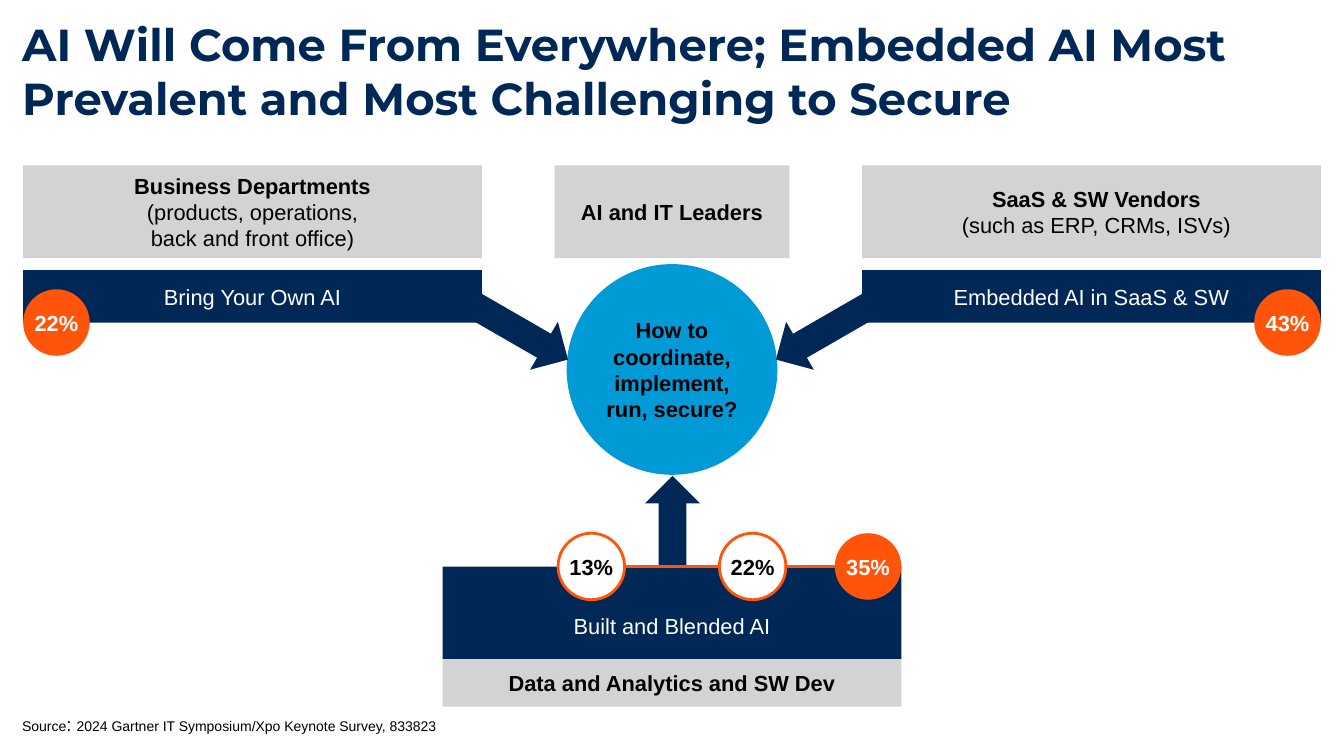
from dataclasses import dataclass

from lxml import etree
from pptx import Presentation
from pptx.dml.color import RGBColor
from pptx.enum.shapes import MSO_CONNECTOR, MSO_SHAPE
from pptx.enum.text import MSO_ANCHOR, PP_ALIGN
from pptx.oxml.ns import qn
from pptx.util import Inches, Pt

RECT, OVAL = MSO_SHAPE.RECTANGLE, MSO_SHAPE.OVAL
RIGHT_ARROW, LEFT_ARROW, UP_ARROW = MSO_SHAPE.RIGHT_ARROW, MSO_SHAPE.LEFT_ARROW, MSO_SHAPE.UP_ARROW
STRAIGHT = MSO_CONNECTOR.STRAIGHT
TOP, MIDDLE, BOTTOM = MSO_ANCHOR.TOP, MSO_ANCHOR.MIDDLE, MSO_ANCHOR.BOTTOM
LEFT, CENTER = PP_ALIGN.LEFT, PP_ALIGN.CENTER


@dataclass(frozen=True)
class Theme:
    """Colours, fonts and type sizes of the slide."""
    navy: str = "002856"
    grey: str = "D3D3D3"
    blue: str = "009AD7"
    orange: str = "FF540A"
    white: str = "FFFFFF"
    black: str = "000000"
    heading: str = "Montserrat"
    body: str = "Arial"
    title_size: float = 32
    label_size: float = 15.6
    source_size: float = 10
    colon_size: float = 13.3


THEME = Theme()
WIDTH, HEIGHT = 13.33, 7.5
MARGIN = 0.23
COLUMN = 4.55
BADGE = 0.66
HEADER_TOP, HEADER_HEIGHT = 1.64, 0.92
BAR_TOP, BAR_HEIGHT = 2.68, 0.52
CENTRE_X = WIDTH / 2


def write(holder, paragraphs, *, size=THEME.label_size, font=THEME.body, color=THEME.black,
          bold=False, align=CENTER, anchor=MIDDLE, insets=(0, 0, 0, 0)):
    """Fill a shape with paragraphs, each a list of (text, font overrides) runs."""
    frame = holder.text_frame
    frame.word_wrap = True
    frame.vertical_anchor = anchor
    (frame.margin_left, frame.margin_top,
     frame.margin_right, frame.margin_bottom) = map(Inches, insets)
    for number, runs in enumerate(paragraphs):
        paragraph = frame.add_paragraph() if number else frame.paragraphs[0]
        paragraph.alignment = align
        for text, changes in runs:
            for index, line in enumerate(text.split("\n")):
                if index:
                    paragraph.add_line_break()
                run = paragraph.add_run()
                run.text = line
                run.font.name = font
                run.font.size = Pt(changes.get("size", size))
                run.font.bold = changes.get("bold", bold)
                run.font.color.rgb = RGBColor.from_string(color)


def add_form(slide, kind, box, fill, *, outline=None, rotation=0):
    """Add a flat preset shape in a box given in inches."""
    form = slide.shapes.add_shape(kind, *map(Inches, box))
    form.shadow.inherit = False
    form.fill.solid()
    form.fill.fore_color.rgb = RGBColor.from_string(fill)
    if outline:
        form.line.color.rgb = RGBColor.from_string(outline)
        form.line.width = Pt(2)
    else:
        form.line.fill.background()
    form.rotation = rotation
    return form


def add_label(slide, box, text, **style):
    """Add a text box holding one paragraph of runs."""
    write(slide.shapes.add_textbox(*map(Inches, box)), [text], **style)


def add_badge(slide, x, y, share, *, filled=True):
    """Add a percentage circle centred on a point."""
    box = (x - BADGE / 2, y - BADGE / 2, BADGE, BADGE)
    circle = add_form(slide, OVAL, box, THEME.orange if filled else THEME.white,
                      outline=None if filled else THEME.orange)
    write(circle, [[(share, {})]], bold=True, color=THEME.white if filled else THEME.black)


def add_link(slide, start, end, y):
    """Draw a horizontal orange line between two badges."""
    link = slide.shapes.add_connector(STRAIGHT, *map(Inches, (start, y, end, y)))
    link.line.color.rgb = RGBColor.from_string(THEME.orange)
    link.line.width = Pt(2.25)
    etree.SubElement(link._element.spPr, qn("a:effectLst"))


def add_side(slide, left, on_left, group, detail, approach, share):
    """Build an outer column with its header, bar, arrow and badge."""
    arrow_width, arrow_height, overlap = 1.29, 0.55, 0.35
    arrow_left = left + COLUMN - overlap if on_left else left + overlap - arrow_width
    add_form(slide, RIGHT_ARROW if on_left else LEFT_ARROW,
             (arrow_left, 2.97, arrow_width, arrow_height), THEME.navy,
             rotation=30 if on_left else 330)
    header = add_form(slide, RECT, (left, HEADER_TOP, COLUMN, HEADER_HEIGHT), THEME.grey)
    write(header, [[(group, {"bold": True})], [(detail, {})]],
          insets=(0 if on_left else 0.1, 0, 0, 0))
    bar = add_form(slide, RECT, (left, BAR_TOP, COLUMN, BAR_HEIGHT), THEME.navy)
    write(bar, [[(approach, {})]], color=THEME.white)
    badge_x = left + BADGE / 2 if on_left else left + COLUMN - BADGE / 2
    add_badge(slide, badge_x, BAR_TOP + BAR_HEIGHT, share)


def add_leaders(slide, width, diameter):
    """Build the middle header and the question circle below it."""
    header = add_form(slide, RECT, (CENTRE_X - width / 2, HEADER_TOP, width, HEADER_HEIGHT),
                      THEME.grey)
    write(header, [[("AI and IT Leaders", {})]], bold=True)
    question = add_form(slide, OVAL, (CENTRE_X - diameter / 2, 2.62, diameter, diameter),
                        THEME.blue)
    write(question, [[("How to coordinate, implement, run, secure?", {})]], bold=True)


def add_foundation(slide, left, top):
    """Build the lower block with its arrow, linked badges and footer."""
    block_height, footer_height = 0.92, 0.47
    block = add_form(slide, RECT, (left, top, COLUMN, block_height), THEME.navy)
    write(block, [[("Built and Blended AI", {})]], color=THEME.white, insets=(0, 0.26, 0, 0))
    add_form(slide, UP_ARROW, (CENTRE_X - 0.27, top - 0.9, 0.55, 0.95), THEME.navy)
    badges = [(CENTRE_X - 0.8, "13%", False), (CENTRE_X + 0.8, "22%", False),
              (left + COLUMN - BADGE / 2, "35%", True)]
    for x, share, filled in badges:
        add_badge(slide, x, top, share, filled=filled)
    for (start, *_), (end, *_) in zip(badges, badges[1:]):
        add_link(slide, start + BADGE / 2, end - BADGE / 2, top)
    footer = add_form(slide, RECT, (left, top + block_height, COLUMN, footer_height), THEME.grey)
    write(footer, [[("Data and Analytics and SW Dev", {})]], bold=True)


def main():
    """Build the slide and save it."""
    deck = Presentation()
    deck.slide_width, deck.slide_height = Inches(WIDTH), Inches(HEIGHT)
    slide = deck.slides.add_slide(deck.slide_layouts[6])
    add_label(slide, (0.22, 0.17, 12.89, 1.08),
              [("AI Will Come From Everywhere; Embedded AI Most "
                "Prevalent and Most Challenging to Secure", {})],
              size=THEME.title_size, font=THEME.heading, color=THEME.navy, bold=True,
              align=LEFT, anchor=TOP)
    add_label(slide, (0.22, 7.06, 7.86, 0.43),
              [("Source", {}), (": ", {"size": THEME.colon_size}),
               ("2024 Gartner IT Symposium/Xpo Keynote Survey, 833823", {})],
              size=THEME.source_size, align=LEFT, anchor=BOTTOM, insets=(0, 0, 0, 0.2))
    add_leaders(slide, 2.33, 2.09)
    add_side(slide, MARGIN, True, "Business Departments",
             "(products, operations,\nback and front office)", "Bring Your Own AI", "22%")
    add_side(slide, WIDTH - MARGIN - COLUMN, False, "SaaS & SW Vendors",
             "(such as ERP, CRMs, ISVs)", "Embedded AI in SaaS & SW", "43%")
    add_foundation(slide, CENTRE_X - COLUMN / 2, 5.62)
    deck.save("out.pptx")


if __name__ == "__main__":
    main()
